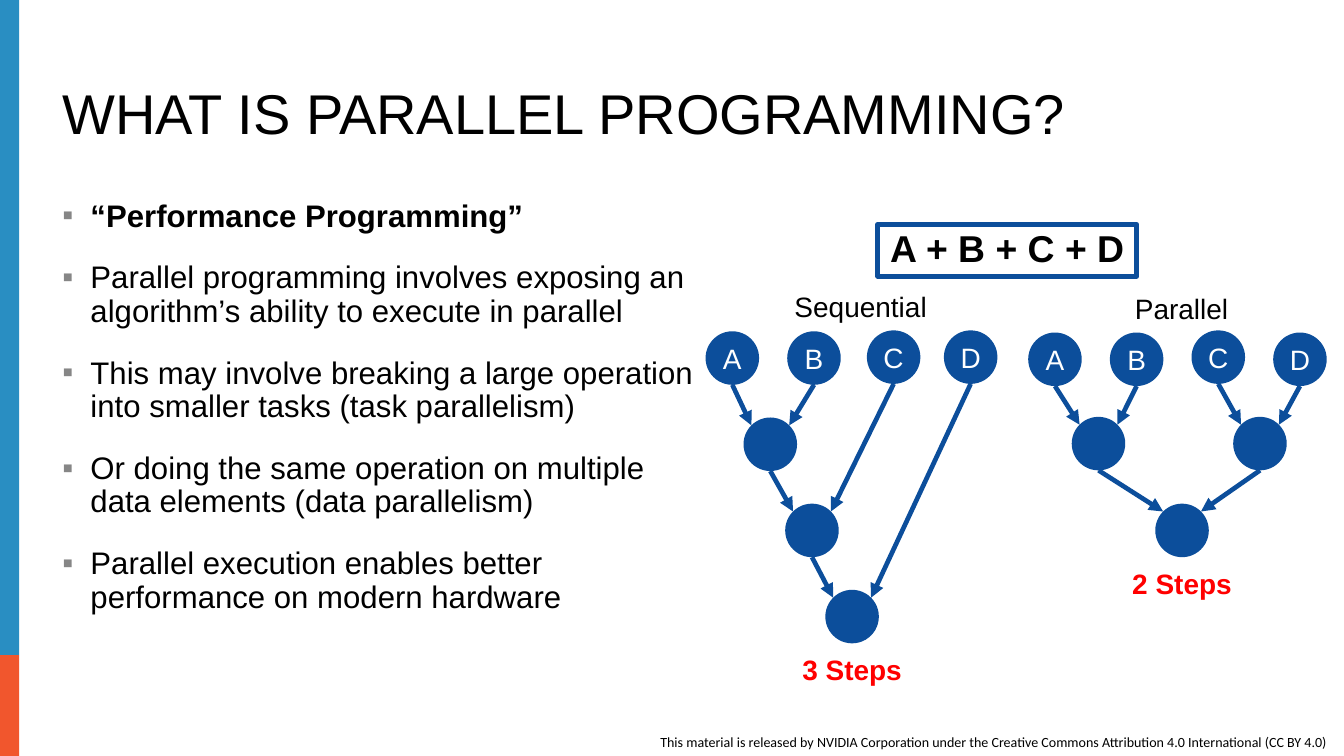
from math import sqrt

from lxml.etree import SubElement
from pptx import Presentation
from pptx.dml.color import RGBColor
from pptx.enum.shapes import MSO_CONNECTOR as Connector, MSO_SHAPE as Shape
from pptx.enum.text import MSO_ANCHOR as Anchor, PP_ALIGN as Align
from pptx.oxml.ns import qn
from pptx.util import Pt

BLACK = RGBColor(0x00, 0x00, 0x00)
WHITE = RGBColor(0xFF, 0xFF, 0xFF)
NAVY = RGBColor(0x0C, 0x4E, 0x9B)
SKY = RGBColor(0x29, 0x8E, 0xC2)
ORANGE = RGBColor(0xF1, 0x56, 0x2D)
RED = RGBColor(0xFF, 0x00, 0x00)
BULLET_GREY = "868686"

NODE = 34.4
LABEL_HEIGHT = 26.6

BULLETS = [
    "“Performance Programming”",
    "Parallel programming involves exposing an algorithm’s ability to execute in parallel",
    "This may involve breaking a large operation into smaller tasks (task parallelism)",
    "Or doing the same operation on multiple data elements (data parallelism)",
    "Parallel execution enables better performance on modern hardware",
]

SEQUENTIAL = {
    "label": ("Sequential", 99.7, 0),
    "steps": "3 Steps",
    "leaves": {"A": (0, 28), "B": (52.5, 28), "C": (103.7, 27.4), "D": (153.2, 27.4)},
    "sums": {
        "AB": (24.4, 83.4, "A", "B"),
        "ABC": (51.2, 138.8, "AB", "C"),
        "ABCD": (77, 194.2, "ABC", "D"),
    },
}
PARALLEL = {
    "label": ("Parallel", 98.6, 1.6),
    "steps": "2 Steps",
    "leaves": {"A": (0, 28.8), "B": (52.5, 28.8), "C": (105, 27.4), "D": (157.5, 28.8)},
    "sums": {
        "AB": (28, 83, "A", "B"),
        "CD": (131.8, 83, "C", "D"),
        "ABCD": (81.7, 138.8, "AB", "CD"),
    },
}


def apply_format(target, values):
    for name, value in values.items():
        setattr(target, name, value)


def write(paragraph, text, size, color=BLACK, bold=False, name="Arial", **layout):
    run = paragraph.add_run()
    run.text = text
    apply_format(run.font, {"size": Pt(size), "bold": bold, "name": name})
    run.font.color.rgb = color
    apply_format(paragraph, layout)


def add_text(slide, box, **frame_format):
    frame = slide.shapes.add_textbox(*map(Pt, box)).text_frame
    apply_format(frame, {"word_wrap": True, **frame_format})
    return frame


def add_filled(slide, preset, box, color):
    shape = slide.shapes.add_shape(preset, *map(Pt, box))
    shape.shadow.inherit = False
    shape.fill.solid()
    shape.fill.fore_color.rgb = color
    shape.line.fill.background()
    return shape


def add_arrow(slide, start, end):
    arrow = slide.shapes.add_connector(Connector.STRAIGHT, *map(Pt, start + end))
    arrow.line.color.rgb = NAVY
    arrow.line.width = Pt(3)
    SubElement(arrow.line._get_or_add_ln(), qn("a:tailEnd"), type="triangle")
    SubElement(arrow._element.spPr, qn("a:effectLst"))


def add_side_band(slide, left, top, width, height):
    split = 421.2
    add_filled(slide, Shape.RECTANGLE, (left, top, width, split), SKY)
    add_filled(slide, Shape.RECTANGLE, (left, top + split, width, height - split), ORANGE)


def add_title(slide, *box):
    frame = add_text(slide, box, vertical_anchor=Anchor.BOTTOM)
    write(frame.paragraphs[0], "WHAT IS PARALLEL PROGRAMMING?", 36, line_spacing=0.9)


def add_bullets(slide, *box):
    frame = add_text(slide, box)
    for index, text in enumerate(BULLETS):
        paragraph = frame.add_paragraph() if index else frame.paragraphs[0]
        properties = paragraph._p.get_or_add_pPr()
        properties.set("marL", str(Pt(18)))
        properties.set("indent", str(-Pt(18)))
        bullet_color = SubElement(properties, qn("a:buClr"))
        SubElement(bullet_color, qn("a:srgbClr"), val=BULLET_GREY)
        SubElement(properties, qn("a:buFont"), typeface="Arial")
        SubElement(properties, qn("a:buChar"), char="▪")
        write(paragraph, text, 20, bold=index == 0, line_spacing=0.9,
              space_before=Pt(9 if index else 0), space_after=Pt(9))


def add_formula(slide, *box):
    formula = slide.shapes.add_shape(Shape.RECTANGLE, *map(Pt, box))
    formula.shadow.inherit = False
    formula.fill.background()
    formula.line.color.rgb = NAVY
    formula.line.width = Pt(3)
    frame = formula.text_frame
    apply_format(frame, {"word_wrap": False, "vertical_anchor": Anchor.MIDDLE})
    write(frame.paragraphs[0], "A + B + C + D", 24, bold=True,
          alignment=Align.CENTER, line_spacing=0.9)


def add_label(slide, text, center, top, color=BLACK, bold=False):
    width = 116
    frame = add_text(slide, (center - width / 2, top, width, LABEL_HEIGHT),
                     vertical_anchor=Anchor.MIDDLE)
    write(frame.paragraphs[0], text, 18, color, bold,
          alignment=Align.CENTER, line_spacing=0.9)


def add_node(slide, x, y, letter=""):
    node = add_filled(slide, Shape.OVAL, (x, y, NODE, NODE), NAVY)
    if letter:
        frame = node.text_frame
        apply_format(frame, {"margin_left": 0, "margin_right": 0,
                             "vertical_anchor": Anchor.MIDDLE})
        write(frame.paragraphs[0], letter, 18, WHITE, alignment=Align.CENTER)


def add_reduction(slide, left, top, tree):
    radius = NODE / 2
    diagonal = radius / sqrt(2)
    text, label_x, label_y = tree["label"]
    add_label(slide, text, left + label_x, top + label_y)

    centers = {}
    for letter, (x, y) in tree["leaves"].items():
        add_node(slide, left + x, top + y, letter)
        centers[letter] = (left + x + radius, top + y + radius)
    for name, (x, y, *operands) in tree["sums"].items():
        add_node(slide, left + x, top + y)
        centers[name] = center_x, center_y = left + x + radius, top + y + radius
        for operand, side in zip(operands, (-1, 1)):
            operand_x, operand_y = centers[operand]
            add_arrow(slide, (operand_x, operand_y + radius),
                      (center_x + side * diagonal, center_y - diagonal))

    result_x, result_y = centers["ABCD"]
    add_label(slide, tree["steps"], result_x, result_y + radius + 4.6, RED, True)


def add_license(slide, *box):
    frame = add_text(slide, box, margin_right=0)
    write(frame.paragraphs[0],
          "This material is released by NVIDIA Corporation under the Creative Commons "
          "Attribution 4.0 International (CC BY 4.0)", 9, name="Calibri")


def main():
    deck = Presentation()
    apply_format(deck, {"slide_width": Pt(864), "slide_height": Pt(486)})
    slide = deck.slides.add_slide(deck.slide_layouts[6])
    add_side_band(slide, 0, 0, 12.4, 486)
    add_license(slide, 417.4, 468, 446.6, 18)
    add_title(slide, 33.1, 51.1, 785.5, 46.8)
    add_bullets(slide, 33.1, 125.3, 422.6, 293)
    add_formula(slide, 564.2, 144.2, 166.6, 33.4)
    add_reduction(slide, 453.6, 185, SEQUENTIAL)
    add_reduction(slide, 661, 185, PARALLEL)
    deck.save("out.pptx")


if __name__ == "__main__":
    main()
